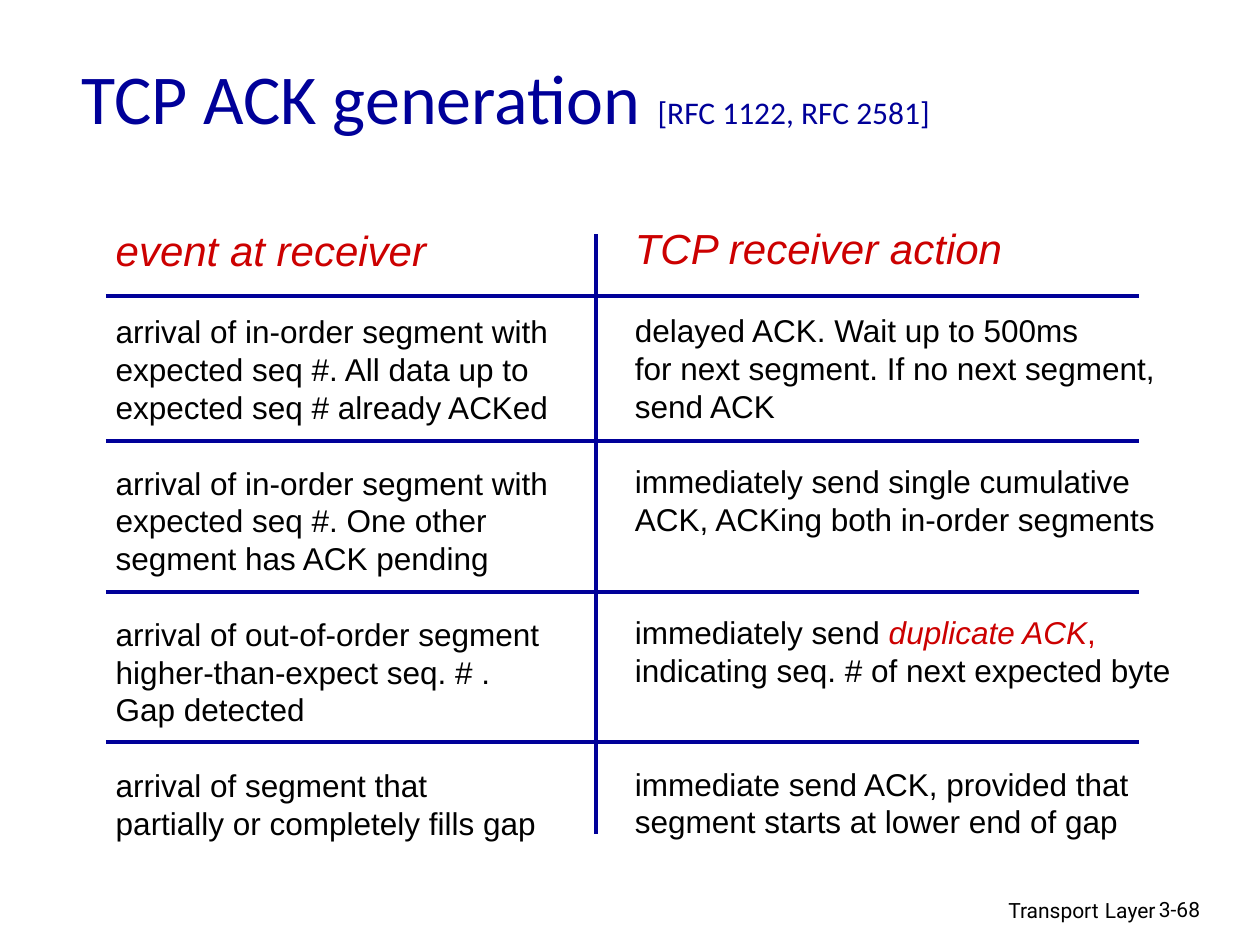
from lxml import etree
from pptx import Presentation
from pptx.dml.color import RGBColor
from pptx.enum.shapes import MSO_CONNECTOR
from pptx.enum.text import MSO_ANCHOR, MSO_AUTO_SIZE, PP_ALIGN
from pptx.oxml.ns import qn
from pptx.util import Inches, Pt

LINE = MSO_CONNECTOR.STRAIGHT
MIDDLE = MSO_ANCHOR.MIDDLE
GROW = MSO_AUTO_SIZE.SHAPE_TO_FIT_TEXT
LEFT, RIGHT = PP_ALIGN.LEFT, PP_ALIGN.RIGHT

BLUE, RED, BLACK = "000099", "CC0000", "000000"
PITCH = 21.6
ROW_LINES = 4

HEAD = {"name": "Arial", "size": Pt(24), "italic": True}
BODY = {"name": "Arial", "size": Pt(18), "italic": False}
TERM = {**BODY, "italic": True}
FOOT = {"name": "Roboto", "size": Pt(12)}

EVENTS = [
    ["arrival of in-order segment with",
     "expected seq #. All data up to",
     "expected seq # already ACKed"],
    ["arrival of in-order segment with",
     "expected seq #. One other",
     "segment has ACK pending"],
    ["arrival of out-of-order segment",
     "higher-than-expect seq. # .",
     "Gap detected"],
    ["arrival of segment that",
     "partially or completely fills gap"],
]
ACTIONS = [
    ["delayed ACK. Wait up to 500ms",
     "for next segment. If no next segment,",
     "send ACK"],
    ["immediately send single cumulative",
     "ACK, ACKing both in-order segments"],
    [[("immediately send ", BODY, BLACK),
      ("duplicate ACK", TERM, RED),
      (",", BODY, RED)],
     "indicating seq. # of next expected byte"],
    ["immediate send ACK, provided that",
     "segment starts at lower end of gap"],
]


def color(code):
    return RGBColor.from_string(code)


def write(para, text, style, code):
    run = para.add_run()
    run.text = text
    for key, value in style.items():
        setattr(run.font, key, value)
    run.font.color.rgb = color(code)


def add_box(slide, box, wrap):
    frame = slide.shapes.add_textbox(*map(Inches, box)).text_frame
    frame.word_wrap = wrap
    return frame


def add_title(slide, box):
    title = slide.shapes.title
    title.left, title.top, title.width, title.height = map(Inches, box)
    frame = title.text_frame
    frame.vertical_anchor = MIDDLE
    para = frame.paragraphs[0]
    para.alignment = LEFT
    for text, size in [("TCP ACK generation", 40), (" ", 44),
                       ("[RFC 1122, RFC 2581]", 18)]:
        write(para, text, {"name": "Calibri", "size": Pt(size)}, BLUE)


def add_column(slide, box, head, rows):
    frame = add_box(slide, box, False)
    frame.auto_size = GROW
    write(frame.paragraphs[0], head, HEAD, RED)
    gap = PITCH
    for lines in rows:
        for i, line in enumerate(lines):
            para = frame.add_paragraph()
            para.line_spacing = Pt(PITCH)
            para.space_before = Pt(0 if i else gap)
            runs = [(line, BODY, BLACK)] if isinstance(line, str) else line
            for run in runs:
                write(para, *run)
        gap = PITCH * (ROW_LINES - len(lines))


def add_line(slide, x1, y1, x2, y2):
    line = slide.shapes.add_connector(LINE, *map(Inches, (x1, y1, x2, y2)))
    line.line.color.rgb = color(BLUE)
    line.line.width = Pt(2.25)
    etree.SubElement(line._element.spPr, qn("a:effectLst"))


def add_grid(slide, box):
    left, top, width, height = box
    add_line(slide, 4.73, top, 4.73, top + height)
    for y in (2.35, 3.5, 4.7, 5.89):
        add_line(slide, left, y, left + width, y)


def add_footer(slide, box):
    left, top, width, height = box
    para = add_box(slide, (left, top, 3.17, height), True).paragraphs[0]
    para.alignment = RIGHT
    write(para, "Transport", FOOT, BLACK)
    write(para, " ", {**FOOT, "size": Pt(14)}, BLACK)
    write(para, "Layer", FOOT, BLACK)
    page = add_box(slide, (left + 3, top + 0.02, width - 3, height), True)
    write(page.paragraphs[0], "3-68", FOOT, BLACK)


def main():
    deck = Presentation()
    deck.slide_width, deck.slide_height = Inches(10), Inches(7.5)
    slide = deck.slides.add_slide(deck.slide_layouts[5])
    add_footer(slide, (6.1, 7.05, 3.74, 0.3))
    add_title(slide, (0.55, 0.38, 8.5, 0.73))
    add_column(slide, (0.82, 1.73, 3.65, 5.4), "event at receiver", EVENTS)
    add_column(slide, (4.94, 1.72, 4.45, 5.4), "TCP receiver action", ACTIONS)
    add_grid(slide, (0.84, 1.86, 8.2, 4.76))
    deck.save("out.pptx")


if __name__ == "__main__":
    main()
